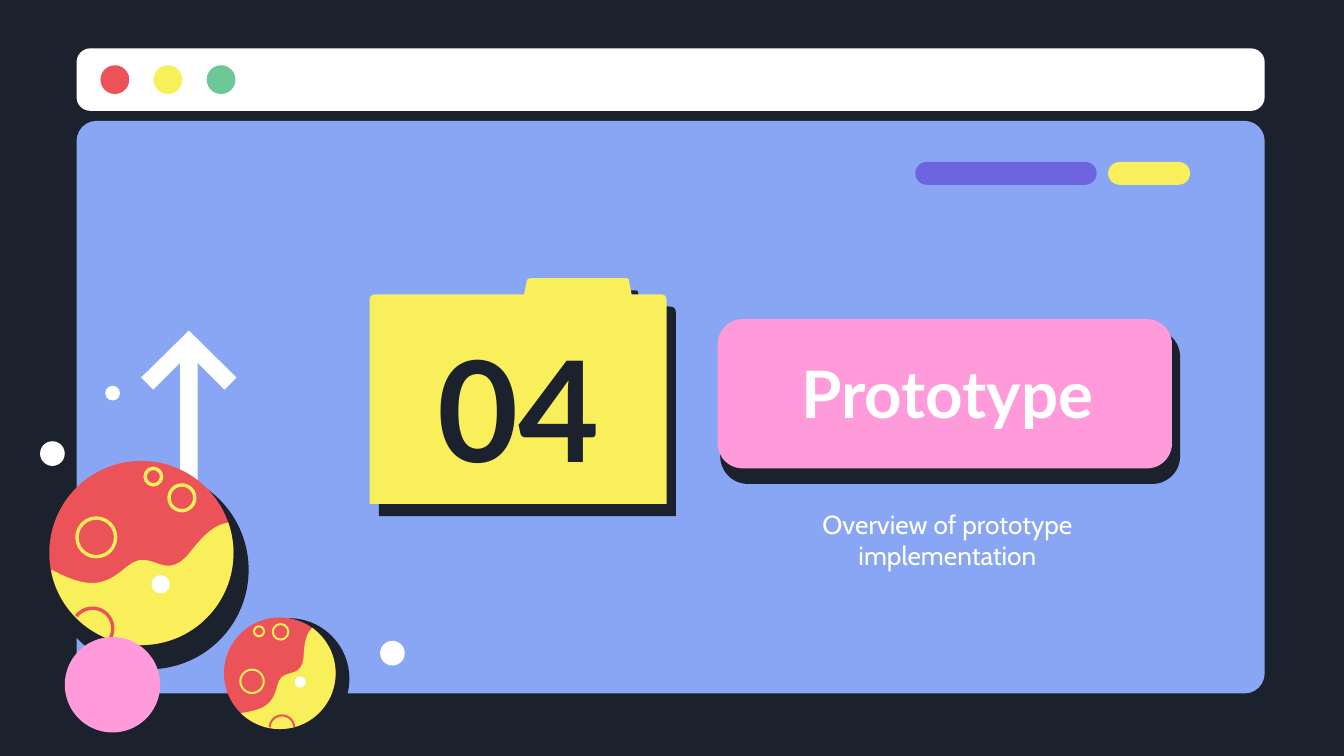
from math import atan2, cos, hypot, radians, sin

from lxml.etree import SubElement
from pptx import Presentation
from pptx.dml.color import RGBColor
from pptx.enum.shapes import MSO_SHAPE
from pptx.enum.text import MSO_ANCHOR, MSO_AUTO_SIZE, PP_ALIGN
from pptx.oxml.ns import qn
from pptx.util import Inches, Pt

COLORS = {
    "ink": "1B222D", "sky": "88A6F3", "white": "FFFFFF", "red": "EB5358",
    "yellow": "F8EF5B", "green": "6DC797", "violet": "6D65E0", "pink": "FF9BDA",
}

deck = Presentation()
deck.slide_width = Inches(10)
deck.slide_height = deck.slide_width * 9 // 16
cell = deck.slide_width // 100
page = deck.slides.add_slide(deck.slide_layouts[5])
page.background.fill.solid()
page.background.fill.fore_color.rgb = RGBColor.from_string(COLORS["ink"])


def paint(shape, fill=None, line=None, width=1):
    shape.shadow.inherit = False
    for style, color in ((shape.fill, fill), (shape.line.fill, line)):
        if color:
            style.solid()
            style.fore_color.rgb = RGBColor.from_string(COLORS[color])
        else:
            style.background()
    if line:
        shape.line.width = Pt(width)
    return shape


def outline(points, close=True):
    spots = [(round(x * cell), round(y * cell)) for x, y in points]
    builder = page.shapes.build_freeform(*spots[0], scale=1.0)
    builder.add_line_segments(spots[1:], close=close)
    return builder.convert_to_shape()


panels = [
    (5.7, 9, 88.4, 42.6, 0.035, "sky", None),
    (5.7, 3.6, 88.4, 4.65, 0.22, "white", None),
    (68.1, 12.05, 13.5, 1.7, 0.5, "violet", None),
    (82.45, 12.05, 6.1, 1.7, 0.5, "yellow", None),
    (53.8, 24.7, 33.8, 11.1, 0.167, "ink", "ink"),
    (53.4, 23.75, 33.8, 11.1, 0.167, "pink", None),
]
for left, top, width, height, bend, fill, line in panels:
    panel = page.shapes.add_shape(
        MSO_SHAPE.ROUNDED_RECTANGLE, *[round(n * cell) for n in (left, top, width, height)])
    panel.adjustments[0] = bend
    paint(panel, fill, line, 3)

arrow = [(13.4, 42.9), (13.4, 27), (11.4, 29), (10.5, 28.1), (14.06, 24.6),
         (17.6, 28.1), (16.7, 29), (14.7, 27), (14.7, 42.9)]
paint(outline(arrow), "white")

corners = [
    ((27.5, 22.3), (27.5, 21.9), (28, 21.9)),
    ((39, 21.9), (39, 21.9), (39, 21.9)),
    ((39.2, 20.9), (39.25, 20.7), (39.5, 20.7)),
    ((46.6, 20.7), (46.8, 20.7), (46.8, 20.9)),
    ((47, 21.9), (47, 21.9), (47, 21.9)),
    ((49.1, 21.9), (49.6, 21.9), (49.6, 22.3)),
]
folder_edge = [(27.5, 37.5)]
for corner in corners:
    for t in (0, 0.25, 0.5, 0.75, 1):
        weights = ((1 - t) ** 2, 2 * t * (1 - t), t ** 2)
        folder_edge.append([sum(w * spot[axis] for w, spot in zip(weights, corner)) for axis in (0, 1)])
folder_edge.append((49.6, 37.5))
folder = paint(outline(folder_edge), "yellow")
effects = folder.element.spPr.find(qn("a:effectLst"))
shade = SubElement(effects, qn("a:outerShdw"), dist=str(Pt(8.2)), dir=str(53 * 60000),
                   algn="bl", rotWithShape="0")
SubElement(shade, qn("a:srgbClr"), val=COLORS["ink"])

wave = [(-0.98, 0.18), (-0.6, 0.38), (-0.42, 0.38), (-0.16, 0.15), (0.13, -0.1),
        (0.25, 0.39), (0.57, -0.06), (0.73, -0.26), (0.85, -0.32), (0.95, -0.33)]
tide = []
for first in (0, 3, 6):
    for step in range(13):
        t = step / 12
        weights = ((1 - t) ** 3, 3 * t * (1 - t) ** 2, 3 * t ** 2 * (1 - t), t ** 3)
        tide.append([sum(w * spot[axis] for w, spot in zip(weights, wave[first:first + 4])) for axis in (0, 1)])
tide += [(cos(radians(a)), sin(radians(a))) for a in range(-19, 170, 3)]
rim = [(-0.53 + 0.22 * cos(radians(a)), 0.82 + 0.22 * sin(radians(a))) for a in range(217, 392, 6)]
craters = [(0.13, -0.83, 0.09, None, "yellow"), (0.44, -0.6, 0.14, None, "yellow"),
           (-0.49, -0.17, 0.21, None, "yellow"), (0.21, 0.34, 0.1, "white", None)]

discs = [(8.55 + 3.95 * i, 5.93, 1.07, color, None, 1)
         for i, color in enumerate(("red", "yellow", "green"))]
discs.append((3.9, 33.75, 0.92, "white", None, 1))
patches = []
for x, y, radius, turn, shade_x, shade_y, shade_radius in (
        (10.52, 41.15, 6.85, 0, 11.1, 42.4, 7.4),
        (20.82, 50.1, 4.15, -35.2, 21.5, 50.5, 4.5)):
    weight = 1.8 * radius / 6.85
    discs += [(shade_x, shade_y, shade_radius, "ink", None, 1), (x, y, radius, "red", None, 1)]
    for points, fill, line in ((tide, "yellow", None), (rim, None, "red")):
        turned = []
        for across, down in points:
            angle = atan2(down, across) + radians(turn)
            reach = hypot(across, down) * radius
            turned.append((x + reach * cos(angle), y + reach * sin(angle)))
        discs.append((turned, fill, line, weight))
    for across, down, size, fill, line in craters:
        angle = atan2(down, across) + radians(turn)
        reach = hypot(across, down) * radius
        discs.append((x + reach * cos(angle), y + reach * sin(angle), size * radius, fill, line, weight))
discs += [(8.37, 50.95, 3.55, "pink", None, 1), (29.2, 48.6, 0.92, "white", None, 1),
          (8.38, 29.25, 0.55, "white", None, 1)]

for disc in discs:
    if len(disc) == 4:
        points, *look = disc
        paint(outline(points, close=look[0] is not None), *look)
        continue
    x, y, radius, *look = disc
    bounds = (x - radius, y - radius, 2 * radius, 2 * radius)
    paint(page.shapes.add_shape(MSO_SHAPE.OVAL, *[round(n * cell) for n in bounds]), *look)

title = page.shapes.title
title.element.getparent().append(title.element)
number = page.shapes.add_textbox(0, 0, cell, cell)
subtitle = page.shapes.add_textbox(0, 0, cell, cell)
labels = [
    (number, (30.1, 25.3, 17, 9.9), "04", "Lato", 75, "ink", True, MSO_ANCHOR.MIDDLE),
    (title, (54.3, 24.6, 32.4, 9.2), "Prototype", "Lato", 35, "white", True, MSO_ANCHOR.MIDDLE),
    (subtitle, (58.3, 36.8, 24.4, 6.9), "Overview of prototype implementation",
     "Cabin", 14, "white", False, MSO_ANCHOR.TOP),
]
for box, bounds, words, font, size, color, bold, anchor in labels:
    box.left, box.top, box.width, box.height = [round(n * cell) for n in bounds]
    frame = box.text_frame
    frame.word_wrap = True
    frame.auto_size = MSO_AUTO_SIZE.NONE
    frame.vertical_anchor = anchor
    frame.margin_left = frame.margin_right = frame.margin_top = frame.margin_bottom = cell
    para = frame.paragraphs[0]
    para.alignment = PP_ALIGN.CENTER
    span = para.add_run()
    span.text = words
    span.font.name = font
    span.font.size = Pt(size)
    span.font.bold = bold
    span.font.color.rgb = RGBColor.from_string(COLORS[color])

deck.save("out.pptx")
